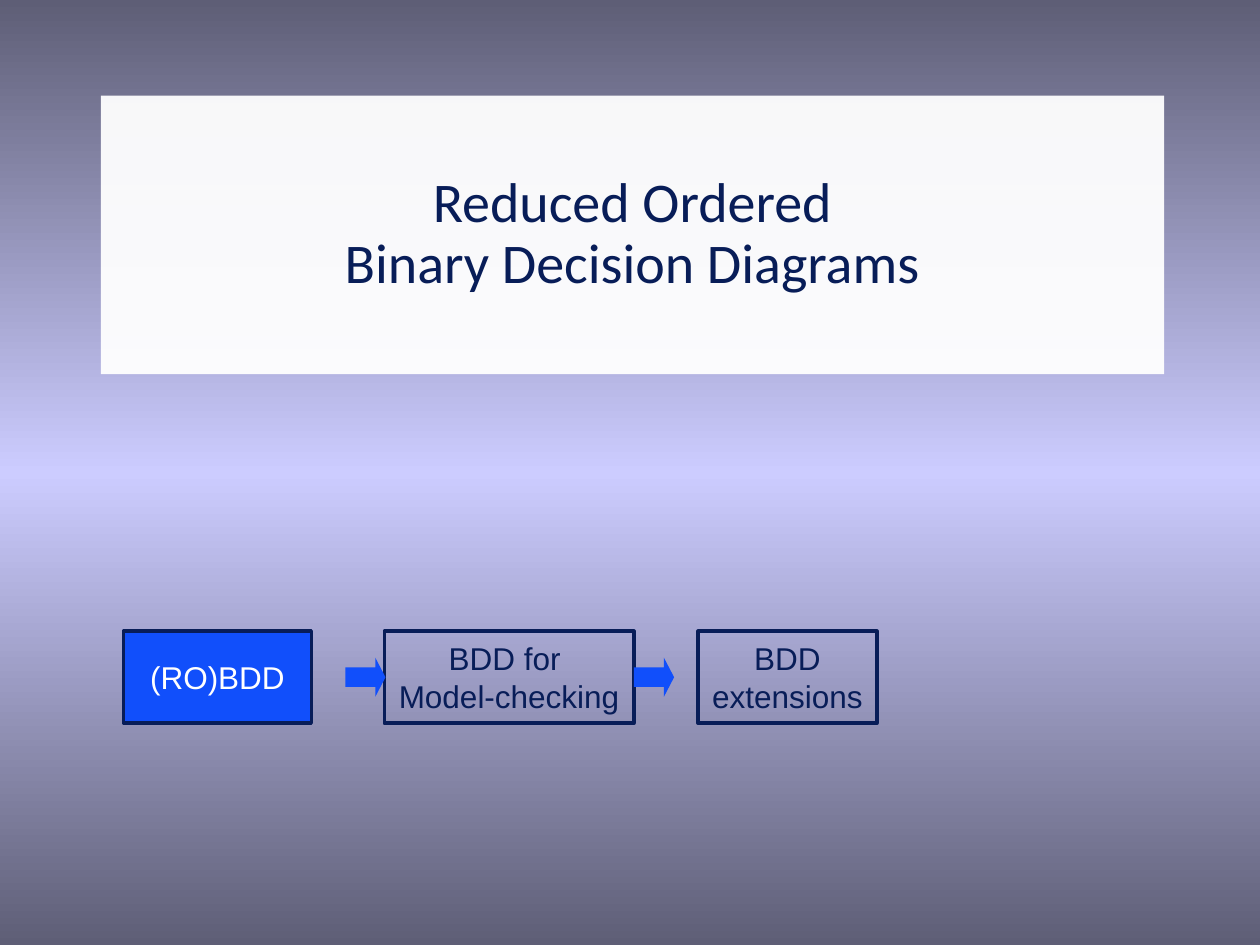
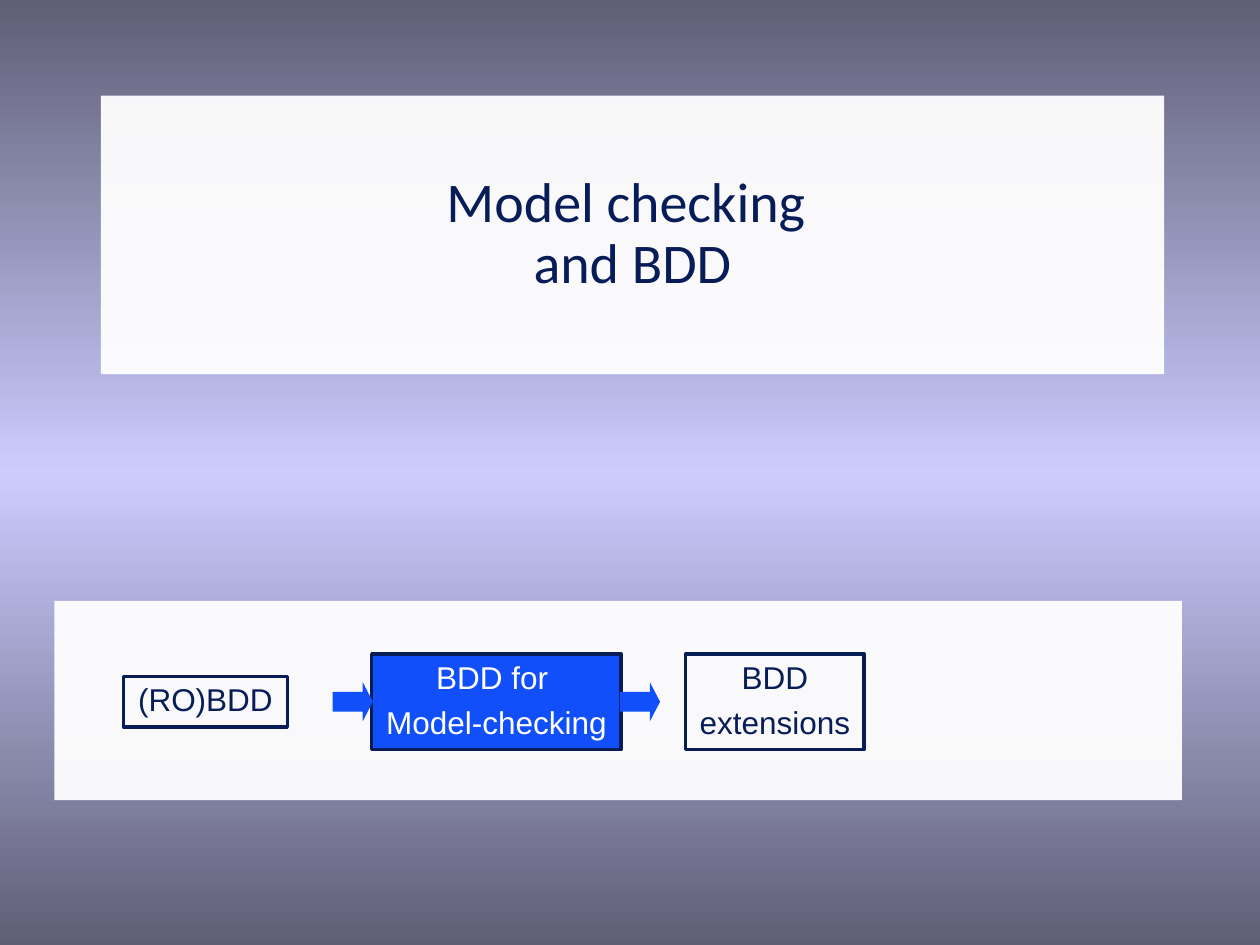
"""Build two section slides on binary decision diagrams, each with a step trail."""
from lxml import etree
from pptx import Presentation, util as u
from pptx.dml.color import RGBColor
from pptx.enum import shapes, text
from pptx.oxml.ns import qn

HUES = {"navy": "081D58", "blue": "114FFB", "white": "FFFFFF",
        "dusk": "5E5E76", "lilac": "CCCCFF"}
SKY = [(0, "dusk"), (50, "lilac"), (100, "dusk")]
STEPS = [["(RO)BDD"], ["BDD for ", "Model-checking"], ["BDD", "extensions"]]
TITLE = (57.6, 54.7, 607.7, 159.1)
ARROW = (23, 22.3)
PAGES = [
    {"title": "Reduced Ordered\nBinary Decision Diagrams", "now": 0, "panel": None,
     "mid": 387, "lefts": [70.6, 219.6, 398.9], "sizes": [(107.3, 52.6), (142.6, 52.6), (102.2, 52.6)],
     "arrows": [197.3, 362.2], "format": {}},
    {"title": "Model checking \nand BDD", "now": 1, "panel": (31, 343.4, 644.4, 113.8),
     "mid": 401, "lefts": [70.6, 212.4, 391.7], "sizes": [(93.6, 28.8), (142.6, 54.7), (102.2, 54.7)],
     "arrows": [190.1, 354.2], "format": {"pitch": 0.9, "gap": 6}},
]


def rgb(hue):
    return RGBColor.from_string(HUES[hue])


def paint(slide):
    fill = slide.background.fill
    fill.gradient()
    fill.gradient_angle = 270
    stops = slide.background.element.find(".//" + qn("a:gsLst"))
    for old in list(stops):
        stops.remove(old)
    for spot, hue in SKY:
        stop = etree.SubElement(stops, qn("a:gs"), pos=str(spot * 1000))
        etree.SubElement(stop, qn("a:srgbClr"), val=HUES[hue])


def draw(slide, area, fill=None, line=None, kind=shapes.MSO_SHAPE.RECTANGLE, alpha=None):
    shape = slide.shapes.add_shape(kind, *map(u.Pt, area))
    shape.shadow.inherit = False
    if fill:
        shape.fill.solid()
        shape.fill.fore_color.rgb = rgb(fill)
    else:
        shape.fill.background()
    if alpha:
        tint = shape.element.spPr.find(".//" + qn("a:srgbClr"))
        etree.SubElement(tint, qn("a:alpha"), val=str(alpha * 1000))
    if line:
        shape.line.color.rgb = rgb(line)
        shape.line.width = u.Pt(2)
    else:
        shape.line.fill.background()
    return shape


def write(shape, lines, size=18, font="Arial", hue="navy", pitch=None, gap=0, wrap=False):
    frame = shape.text_frame
    frame.word_wrap = wrap
    frame.vertical_anchor = text.MSO_ANCHOR.MIDDLE
    for i, line in enumerate(lines):
        para = frame.add_paragraph() if i else frame.paragraphs[0]
        para.text = line
        para.alignment = text.PP_ALIGN.CENTER
        para.line_spacing = pitch
        if i and gap:
            para.space_before = u.Pt(gap)
        for run in para.runs:
            run.font.size = u.Pt(size)
            run.font.name = font
            run.font.color.rgb = rgb(hue)


def trail(slide, page):
    for i, (left, (wide, high), words) in enumerate(zip(page["lefts"], page["sizes"], STEPS)):
        now = i == page["now"]
        box = draw(slide, (left, page["mid"] - high / 2, wide, high),
                   fill="blue" if now else None, line="navy")
        write(box, words, hue="white" if now else "navy", **page["format"])
    wide, high = ARROW
    for left in page["arrows"]:
        arrow = draw(slide, (left, page["mid"] - high / 2, wide, high), fill="blue",
                     kind=shapes.MSO_SHAPE.RIGHT_ARROW)
        arrow.adjustments[1] = 0.26


def main():
    deck = Presentation()
    deck.slide_width, deck.slide_height = u.Pt(720), u.Pt(540)
    for page in PAGES:
        slide = deck.slides.add_slide(deck.slide_layouts[6])
        paint(slide)
        title = draw(slide, TITLE, fill="white", alpha=95)
        write(title, [page["title"]], size=32, font="Calibri", pitch=0.9, wrap=True)
        if page["panel"]:
            draw(slide, page["panel"], fill="white", alpha=95)
        trail(slide, page)
    deck.save("out.pptx")


if __name__ == "__main__":
    main()
